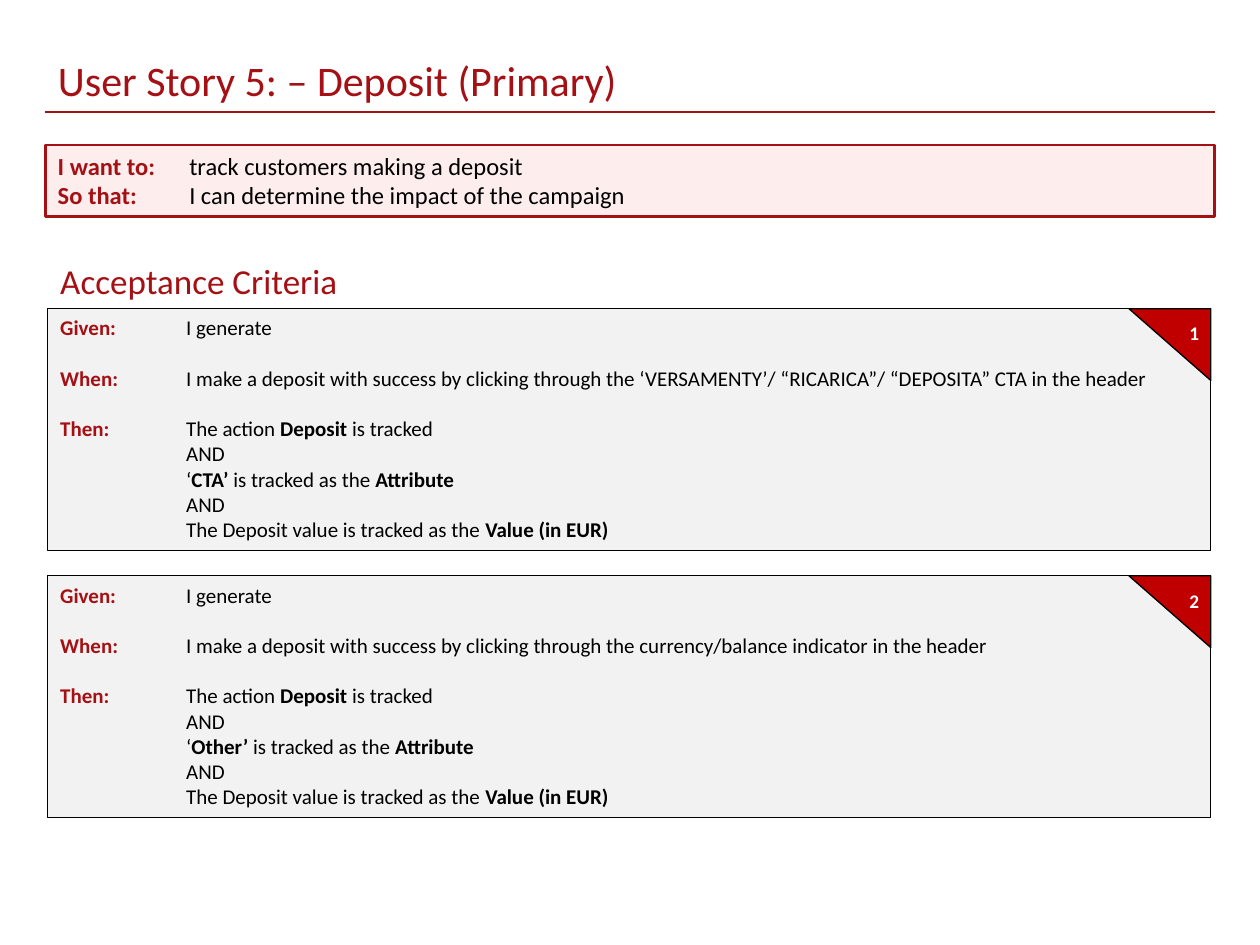
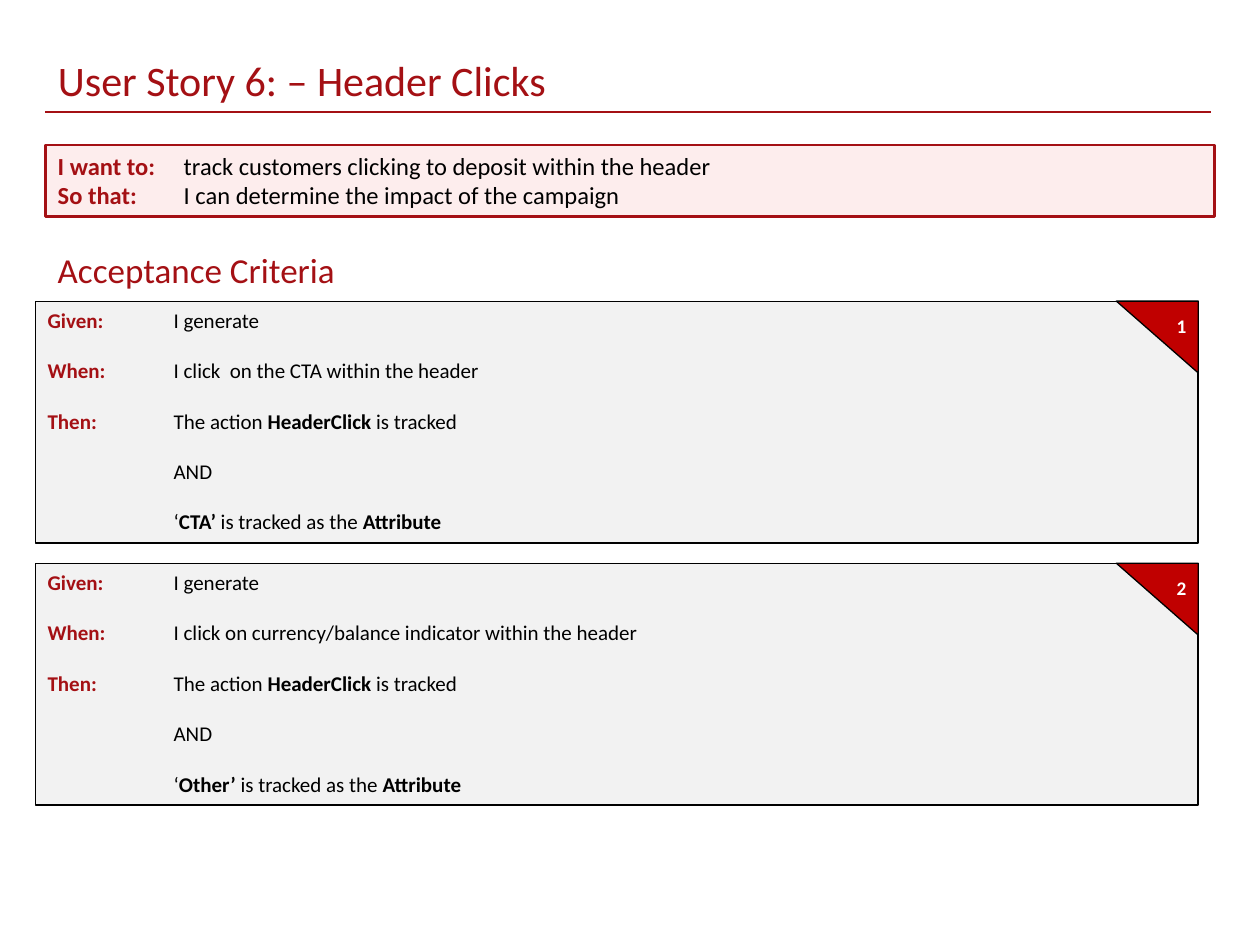
from dataclasses import dataclass

from lxml.etree import SubElement
from pptx import Presentation
from pptx.dml.color import RGBColor as RGB
from pptx.enum.shapes import MSO_CONNECTOR as CONN, MSO_SHAPE as SHAPE
from pptx.enum.text import MSO_ANCHOR as ANCHOR, MSO_AUTO_SIZE as FIT, PP_ALIGN as ALIGN
from pptx.oxml.ns import qn
from pptx.util import Inches, Pt

HEADER = "I make a deposit with success by clicking through the "
DEPOSIT = ["The action *Deposit* is tracked", "AND", "‘*{}’* is tracked as the *Attribute*",
           "AND", "The Deposit value is tracked as the *Value (in EUR)*"]
CLICK = ["The action *HeaderClick* is tracked", "AND", "‘*{}’* is tracked as the *Attribute*"]

STORIES = [
    dict(
        title="User Story 5: – Deposit (Primary)",
        want=" track customers making a deposit",
        goal=" I can determine the impact of the campaign",
        when=[HEADER + "‘VERSAMENTY’/ “RICARICA”/ “DEPOSITA” CTA in the header",
              HEADER + "currency/balance indicator in the header"],
        then=DEPOSIT, loose=False,
        rule=9.64, head=(0.38, 2.01), card=(0.38, 2.45), pitch=2.12,
    ),
    dict(
        title="User Story 6: – Header Clicks",
        want="track customers clicking to deposit within the header",
        goal="I can determine the impact of the campaign",
        when=["I click  on the CTA within the header",
              "I click on currency/balance indicator within the header"],
        then=CLICK, loose=True,
        rule=9.61, head=(0.36, 1.92), card=(0.28, 2.39), pitch=2.08,
    ),
]
NAMES = ["CTA", "Other"]


@dataclass(frozen=True)
class Theme:
    font: str = "Calibri"
    red: str = "A41014"
    flag: str = "C00000"
    pink: str = "FDEDED"
    grey: str = "F2F2F2"
    ink: str = "000000"
    white: str = "FFFFFF"
    title: float = 24
    head: float = 20
    story: float = 14
    body: float = 12
    mark: float = 11
    gap: float = 14.4
    tab: float = 1


T = Theme()


def style(run, size, color, bold=False):
    font = run.font
    font.name, font.size, font.bold = T.font, Pt(size), bold
    font.color.rgb = RGB.from_string(color)


def write(frame, text, size, color, bold=False):
    frame.text = text
    style(frame.paragraphs[0].runs[0], size, color, bold)


def row(para, label, text, size):
    para.alignment = ALIGN.LEFT
    stops = SubElement(para._p.get_or_add_pPr(), qn("a:tabLst"))
    SubElement(stops, qn("a:tab"), pos=str(Inches(T.tab)), algn="l")
    run = para.add_run()
    run.text = f"{label}: \t" if label else "\t"
    style(run, size, T.red, True)
    for i, part in enumerate(text.split("*")):
        if part:
            run = para.add_run()
            run.text = part
            style(run, size, T.ink, i % 2 == 1)


def rows(frame, items, size, loose=None):
    frame.word_wrap = True
    frame.vertical_anchor = ANCHOR.TOP
    for i, (label, text) in enumerate(items):
        para = frame.add_paragraph() if i else frame.paragraphs[0]
        if i and loose is not None and (label or loose):
            para.space_before = Pt(T.gap)
        row(para, label, text, size)


def block(slide, kind, box, fill, line, width):
    shape = slide.shapes.add_shape(kind, *map(Inches, box))
    shape.shadow.inherit = False
    shape.fill.solid()
    shape.fill.fore_color.rgb = RGB.from_string(fill)
    shape.line.color.rgb = RGB.from_string(line)
    shape.line.width = Pt(width)
    return shape


def label(slide, box, text, size, color, bold=False):
    frame = slide.shapes.add_textbox(*map(Inches, box)).text_frame
    write(frame, text, size, color, bold)
    return frame


def card(slide, left, top, number, items, loose):
    box = block(slide, SHAPE.RECTANGLE, (left, top, 9.23, 1.92), T.grey, T.ink, 0.75)
    rows(box.text_frame, items, T.body, loose)
    flag = block(slide, SHAPE.RIGHT_TRIANGLE, (left + 8.58, top, 0.65, 0.57),
                 T.flag, T.ink, 0.75)
    flag.rotation = 180
    frame = label(slide, (left + 8.96, top + 0.05, 0.22, 0.29), str(number),
                  T.mark, T.white, True)
    frame.word_wrap = False
    frame.vertical_anchor = ANCHOR.MIDDLE
    frame.paragraphs[0].alignment = ALIGN.CENTER


def heading(slide, text, end):
    title = slide.shapes.title
    title.left, title.top, title.width, title.height = map(Inches, (0.36, 0.38, 9.16, 0.5))
    frame = title.text_frame
    write(frame, text, T.title, T.red)
    frame.auto_size = FIT.NONE
    frame.vertical_anchor = ANCHOR.TOP
    frame.paragraphs[0].alignment = ALIGN.LEFT
    line = slide.shapes.add_connector(CONN.STRAIGHT, *map(Inches, (0.36, 0.89, end, 0.89)))
    line.line.color.rgb = RGB.from_string(T.red)
    line.line.width = Pt(1.25)
    SubElement(line._element.spPr, qn("a:effectLst"))


def build(deck, story):
    slide = deck.slides.add_slide(deck.slide_layouts[5])
    heading(slide, story["title"], story["rule"])
    box = block(slide, SHAPE.RECTANGLE, (0.36, 1.15, 9.28, 0.57), T.pink, T.red, 1.5)
    rows(box.text_frame, [("I want to", story["want"]), ("So that", story["goal"])], T.story)
    frame = label(slide, (*story["head"], 6.83, 0.44), "Acceptance Criteria", T.head, T.red)
    frame.word_wrap = True
    left, top = story["card"]
    for i, (when, name) in enumerate(zip(story["when"], NAMES)):
        first, *rest = [text.format(name) for text in story["then"]]
        items = [("Given", "I generate"), ("When", when), ("Then", first)]
        items += [("", text) for text in rest]
        card(slide, left, top + i * story["pitch"], i + 1, items, story["loose"])


def main():
    deck = Presentation()
    deck.slide_width, deck.slide_height = Inches(10), Inches(7.5)
    for story in STORIES:
        build(deck, story)
    deck.save("out.pptx")


if __name__ == "__main__":
    main()
